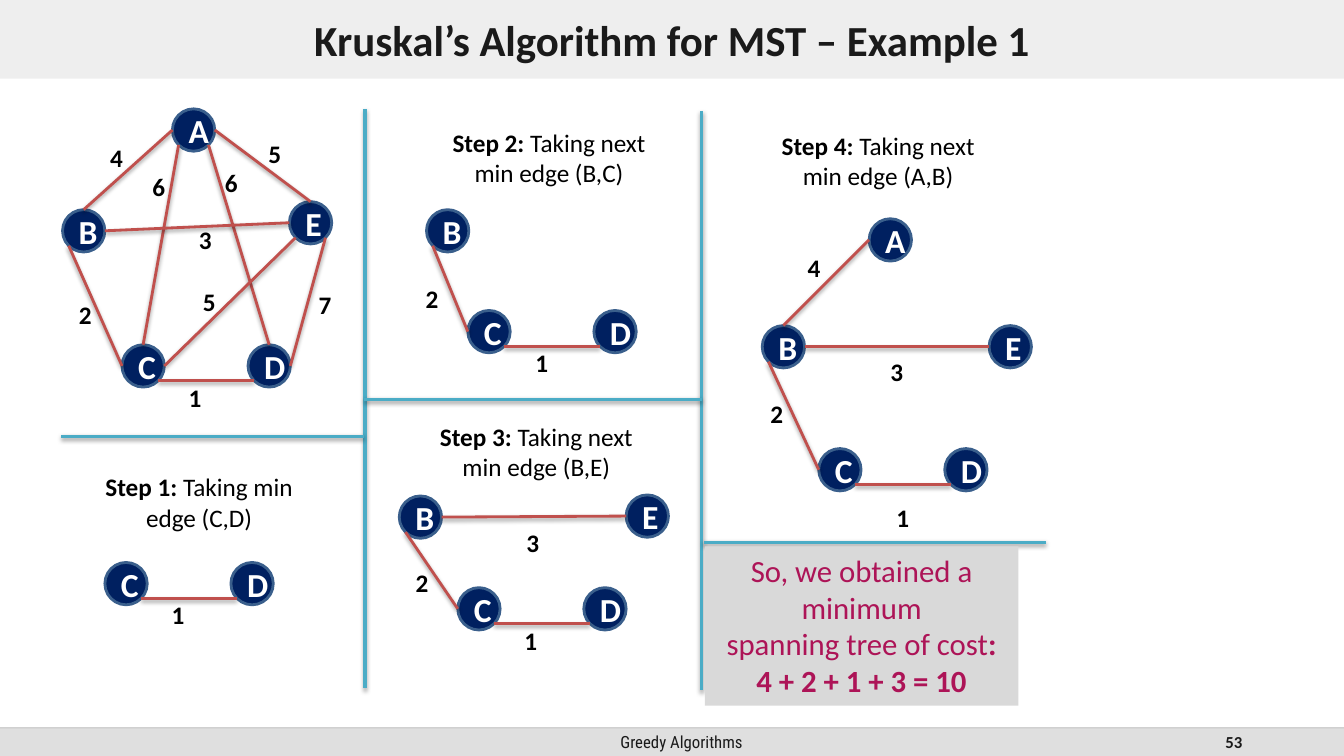
"""Build the slide that walks through Kruskal's algorithm on a five-node graph."""
import math
from dataclasses import dataclass

import lxml.etree
import pptx
import pptx.dml.color
import pptx.enum.shapes
import pptx.enum.text
import pptx.oxml
import pptx.oxml.ns
import pptx.util

Inches = pptx.util.Inches
Pt = pptx.util.Pt
RGB = pptx.dml.color.RGBColor.from_string
ALIGN = pptx.enum.text.PP_ALIGN
ANCHOR = pptx.enum.text.MSO_ANCHOR
SHAPE = pptx.enum.shapes.MSO_SHAPE
qn = pptx.oxml.ns.qn


@dataclass(frozen=True)
class Theme:
    font: str = "Calibri"
    footer_font: str = "Roboto Condensed"
    ink: str = "1A1A1A"
    black: str = "000000"
    white: str = "FFFFFF"
    bar: str = "DFDFDF"
    rule: str = "BFBFBF"
    node: str = "002060"
    node_outline: str = "3A5F8C"
    edge: str = "C0504D"
    divider: str = "4BACC6"
    result_fill: str = "D9D9D9"
    result_text: str = "AD1457"
    title_size: float = 30.6
    node_size: int = 24
    result_size: int = 22
    label_size: int = 18
    footer_size: int = 12


theme = Theme()
NODE = 0.42
SITES = {"right": 0, "se": 45, "bottom": 90, "sw": 135, "left": 180, "top": 270}


def write(frame, text, *, size=theme.label_size, color=theme.black, bold=False,
          font=theme.font, align=ALIGN.CENTER, anchor=ANCHOR.TOP, wrap=True):
    """Fill a text frame; newlines part paragraphs and ** toggles bold."""
    frame.word_wrap = wrap
    frame.auto_size = pptx.enum.text.MSO_AUTO_SIZE.NONE
    frame.vertical_anchor = anchor
    for index, line in enumerate(text.split("\n")):
        paragraph = frame.add_paragraph() if index else frame.paragraphs[0]
        paragraph.alignment = align
        for part, words in enumerate(line.split("**")):
            if words:
                run = paragraph.add_run()
                run.text = words
                run.font.name = font
                run.font.size = Pt(size)
                run.font.bold = bold or part % 2 == 1
                run.font.color.rgb = RGB(color)


def draw_line(start, end, color, width, shadow=True):
    """Draw a straight connector, with a soft shadow below it if wanted."""
    connector = slide.shapes.add_connector(
        pptx.enum.shapes.MSO_CONNECTOR.STRAIGHT, *map(Inches, (*start, *end)))
    connector.line.color.rgb = RGB(color)
    connector.line.width = Pt(width)
    effects = lxml.etree.SubElement(connector._element.spPr, qn("a:effectLst"))
    if shadow:
        effects.append(pptx.oxml.parse_xml(
            '<a:outerShdw xmlns:a="http://schemas.openxmlformats.org/drawingml/2006/main" '
            'blurRad="39370" dist="20320" dir="5400000" rotWithShape="0">'
            '<a:srgbClr val="000000"><a:alpha val="38000"/></a:srgbClr></a:outerShdw>'))
    return connector


presentation = pptx.Presentation()
presentation.slide_width = Inches(13.33)
presentation.slide_height = Inches(7.5)
slide = presentation.slides.add_slide(presentation.slide_layouts[5])

title = slide.shapes.title
title.left, title.top, title.width, title.height = map(Inches, (0, 0, 13.33, 0.78))
title.fill.solid()
title.fill.fore_color.rgb = RGB(theme.bar)
frame = title.text_frame
frame.margin_left = frame.margin_right = Inches(0.24)
frame.margin_top = frame.margin_bottom = Inches(0.12)
write(frame, "Kruskal’s Algorithm for MST – Example 1", size=theme.title_size,
      color=theme.ink, bold=True, anchor=ANCHOR.MIDDLE)

footer = slide.shapes.add_shape(SHAPE.RECTANGLE, *map(Inches, (0, 7.22, 13.33, 0.28)))
footer.shadow.inherit = False
footer.fill.solid()
footer.fill.fore_color.rgb = RGB(theme.bar)
footer.line.fill.background()
footer_line = draw_line((0, 7.22), (13.33, 7.22), theme.rule, 1, shadow=False)
for element, alpha in ((title._element, "50000"), (footer_line._element, "70000")):
    color = element.spPr.find(".//" + qn("a:srgbClr"))
    lxml.etree.SubElement(color, qn("a:alpha")).set("val", alpha)

for words, left, width, font, bold, align in (
    ("Greedy Algorithms", 4.42, 4.68, theme.footer_font, False, ALIGN.CENTER),
    ("53", 9.42, 3, theme.font, True, ALIGN.RIGHT),
):
    box = slide.shapes.add_textbox(*map(Inches, (left, 7.22, width, 0.28)))
    write(box.text_frame, words, size=theme.footer_size, color=theme.ink, bold=bold,
          font=font, align=align, anchor=ANCHOR.MIDDLE)

tree_sites = {"AB": ("left", "top"), "BC": ("sw", "left"),
              "CD": ("se", "sw"), "BE": ("right", "left")}
full_sites = {**tree_sites, "AE": ("right", "top"), "ED": ("se", "right"),
              "AC": ("sw", "top"), "AD": ("se", "top"), "CE": ("right", "sw")}

graphs = [
    ({"A": (1.71, 1.08), "B": (0.62, 2.08), "C": (1.21, 3.42),
      "D": (2.46, 3.42), "E": (2.87, 2)},
     {"AB": (4, 0.99, 1.36), "BC": (2, 0.68, 2.92), "CD": (1, 1.77, 3.74),
      "AE": (5, 2.56, 1.32), "ED": (7, 3.06, 2.82), "AC": (6, 1.41, 1.65),
      "AD": (6, 2.13, 1.61), "CE": (5, 1.91, 2.79), "BE": (3, 1.87, 2.18)}),
    ({"C": (1.04, 5.58), "D": (2.29, 5.58)},
     {"CD": (1, 1.6, 5.9)}),
    ({"B": (4.23, 2.08), "C": (4.64, 3.08), "D": (5.89, 3.08)},
     {"BC": (2, 4.12, 2.76), "CD": (1, 5.21, 3.4)}),
    ({"B": (3.96, 4.92), "C": (4.54, 5.83), "D": (5.79, 5.83), "E": (6.21, 4.91)},
     {"BC": (2, 4.02, 5.58), "CD": (1, 5.1, 6.15), "BE": (3, 5.12, 5.18)}),
    ({"A": (8.62, 2.17), "B": (7.56, 3.23), "C": (8.12, 4.45),
      "D": (9.37, 4.45), "E": (9.81, 3.23)},
     {"AB": (4, 7.91, 2.45), "BC": (2, 7.54, 3.9), "CD": (1, 8.79, 4.93),
      "BE": (3, 8.73, 3.49)}),
]
for nodes, edges in graphs:
    for name, (left, top) in nodes.items():
        node = slide.shapes.add_shape(
            SHAPE.OVAL, *map(Inches, (left, top, NODE, NODE)))
        node.shadow.inherit = False
        node.fill.solid()
        node.fill.fore_color.rgb = RGB(theme.node)
        node.line.color.rgb = RGB(theme.node_outline)
        node.line.width = Pt(2)
        write(node.text_frame, name, size=theme.node_size, color=theme.white,
              bold=True, anchor=ANCHOR.MIDDLE)
    for edge, (weight, left, top) in edges.items():
        ends = []
        for name, site in zip(edge, full_sites[edge]):
            angle = math.radians(SITES[site])
            x, y = nodes[name]
            ends.append((x + NODE / 2 * (1 + math.cos(angle)),
                         y + NODE / 2 * (1 + math.sin(angle))))
        draw_line(*ends, theme.edge, 2)
        box = slide.shapes.add_textbox(*map(Inches, (left, top, 0.33, 0.4)))
        write(box.text_frame, str(weight), bold=True, wrap=False)

for caption, left, top, width in (
    ("**Step 1:** Taking min\nedge (C,D)", 0.91, 4.63, 2.13),
    ("**Step 2:** Taking next\nmin edge (B,C)", 4.35, 1.21, 2.19),
    ("**Step 3:** Taking next\nmin edge (B,E)", 4.12, 4.13, 2.4),
    ("**Step 4:** Taking next\nmin edge (A,B)", 7.54, 1.24, 2.34),
):
    box = slide.shapes.add_textbox(*map(Inches, (left, top, width, 0.71)))
    write(box.text_frame, caption, wrap=False)

for start, end in (
    ((3.62, 1.08), (3.62, 6.83)),
    ((6.96, 1.1), (6.96, 6.85)),
    ((0.61, 4.33), (3.61, 4.33)),
    ((3.61, 3.96), (6.96, 3.96)),
    ((6.98, 5.38), (10.37, 5.38)),
):
    draw_line(start, end, theme.divider, 2.25)

result = slide.shapes.add_shape(SHAPE.RECTANGLE, *map(Inches, (6.99, 5.42, 3.11, 1.58)))
result.shadow.inherit = False
result.fill.solid()
result.fill.fore_color.rgb = RGB(theme.result_fill)
result.line.fill.background()
write(result.text_frame,
      "So, we obtained a minimum\nspanning tree of cost**:**\n**4 + 2 + 1 + 3 = 10**",
      size=theme.result_size, color=theme.result_text)

presentation.save("out.pptx")
